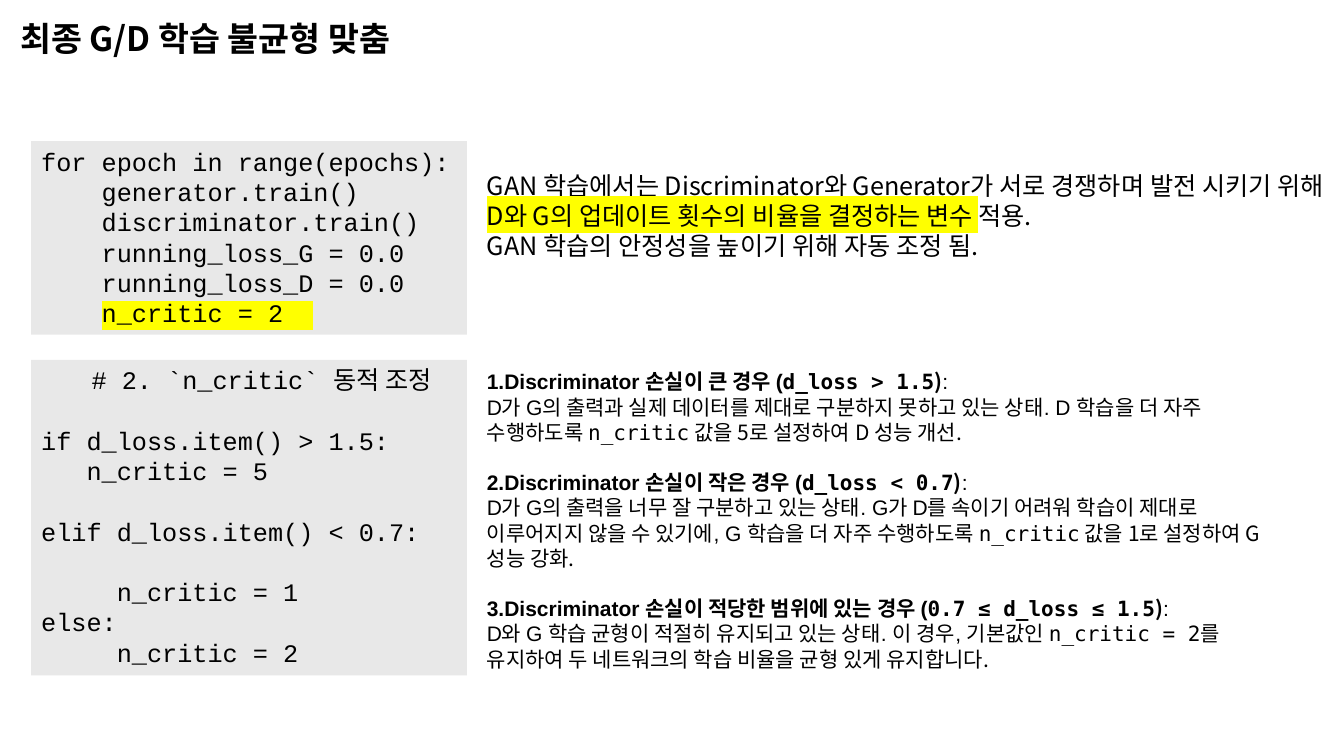
from lxml.etree import SubElement
from pptx import Presentation
from pptx.dml.color import RGBColor
from pptx.enum.shapes import MSO_SHAPE
from pptx.enum.text import MSO_ANCHOR, PP_ALIGN
from pptx.oxml.ns import qn
from pptx.util import Inches, Pt

BLACK = RGBColor(0x00, 0x00, 0x00)
GRAY = RGBColor(0xE8, 0xE8, 0xE8)
YELLOW = RGBColor(0xFF, 0xFF, 0x00)
KOREAN, SANS, CODE, MONO = "Noto Sans CJK KR", "Arial", "Courier New", "DejaVu Sans Mono"
CELL = Inches(0.1)
LINE = 1.2
CODE_SIZE, CASE_SIZE = 18, 15
CODE_CHARACTER = Pt(CODE_SIZE * 0.6)

LOOP_CODE = [
    (0, 0, "for epoch in range(epochs):", False),
    (4, 0, "generator.train()", False),
    (4, 0, "discriminator.train()", False),
    (4, 0, "running_loss_G = 0.0", False),
    (4, 0, "running_loss_D = 0.0", False),
    (4, 0, "n_critic = 2  ", True),
]
ADJUST_CODE = [
    (3.33, 0, "# 2. `n_critic` 동적 조정", False),
    (0, 1, "if d_loss.item() > 1.5:", False),
    (3, 0, "n_critic = 5", False),
    (0, 1, "elif d_loss.item() < 0.7:", False),
    (5, 1, "n_critic = 1", False),
    (0, 0, "else:", False),
    (5, 0, "n_critic = 2", False),
]
SUMMARY = [
    [("GAN 학습에서는 Discriminator와 Generator가 서로 경쟁하며 발전 시키기 위해 ", False),
     ("D와 G의 업데이트 횟수의 비율을 결정하는 변수 ", True),
     ("적용.", False)],
    [("GAN 학습의 안정성을 높이기 위해 자동 조정 됨.", False)],
]
CASES = [
    ("큰 경우", "d_loss > 1.5",
     "D가 G의 출력과 실제 데이터를 제대로 구분하지 못하고 있는 상태. D 학습을 더 자주 수행하도록 ",
     "n_critic", " 값을 5로 설정하여 D 성능 개선."),
    ("작은 경우", "d_loss < 0.7",
     "D가 G의 출력을 너무 잘 구분하고 있는 상태. G가 D를 속이기 어려워 학습이 제대로 "
     "이루어지지 않을 수 있기에, G 학습을 더 자주 수행하도록 ",
     "n_critic", " 값을 1로 설정하여 G 성능 강화."),
    ("적당한 범위에 있는 경우", "0.7 ≤ d_loss ≤ 1.5",
     "D와 G 학습 균형이 적절히 유지되고 있는 상태. 이 경우, 기본값인 ",
     "n_critic = 2", "를 유지하여 두 네트워크의 학습 비율을 균형 있게 유지합니다."),
]


class SlideBuilder:
    def __init__(self, presentation):
        self.slide = presentation.slides.add_slide(presentation.slide_layouts[5])

    def grid(self, column, row, columns, rows):
        return [round(value * CELL) for value in (column, row, columns, rows)]

    def frame(self, shape):
        frame = shape.text_frame
        frame.word_wrap = True
        frame.vertical_anchor = MSO_ANCHOR.TOP
        frame.margin_left = frame.margin_right = Inches(0.1)
        frame.margin_top = frame.margin_bottom = Inches(0.05)
        return frame

    def paragraph(self, frame, index, size, blank_lines=0):
        paragraph = frame.add_paragraph() if index else frame.paragraphs[0]
        paragraph.alignment = PP_ALIGN.LEFT
        paragraph.line_spacing = Pt(size * LINE)
        paragraph.space_before = Pt(size * LINE * blank_lines)
        return paragraph

    def run(self, paragraph, text, size, font, bold=False, marked=False):
        run = paragraph.add_run()
        run.text = text
        run.font.size = Pt(size)
        run.font.bold = bold
        run.font.color.rgb = BLACK
        properties = run.font._element
        if marked:
            highlight = SubElement(properties, qn("a:highlight"))
            SubElement(highlight, qn("a:srgbClr"), val=str(YELLOW))
        run.font.name = font
        SubElement(properties, qn("a:ea"), typeface=KOREAN)

    def title(self, text, *place):
        title = self.slide.shapes.title
        title.left, title.top, title.width, title.height = self.grid(*place)
        paragraph = self.paragraph(self.frame(title), 0, 24)
        self.run(paragraph, text, 24, KOREAN, bold=True)

    def code_box(self, lines, *place):
        box = self.slide.shapes.add_shape(MSO_SHAPE.RECTANGLE, *self.grid(*place))
        box.shadow.inherit = False
        box.fill.solid()
        box.fill.fore_color.rgb = GRAY
        box.line.fill.background()
        frame = self.frame(box)
        for index, (indent, blank_lines, text, marked) in enumerate(lines):
            paragraph = self.paragraph(frame, index, CODE_SIZE, blank_lines)
            properties = paragraph._p.get_or_add_pPr()
            properties.set("marL", str(round(indent * CODE_CHARACTER)))
            self.run(paragraph, text, CODE_SIZE, CODE, marked=marked)

    def summary(self, paragraphs, *place):
        frame = self.frame(self.slide.shapes.add_textbox(*self.grid(*place)))
        for index, pieces in enumerate(paragraphs):
            paragraph = self.paragraph(frame, index, 18)
            for text, marked in pieces:
                self.run(paragraph, text, 18, KOREAN, marked=marked)

    def cases(self, cases, *place):
        frame = self.frame(self.slide.shapes.add_textbox(*self.grid(*place)))
        for index, (case, condition, state, variable, action) in enumerate(cases):
            paragraph = self.paragraph(frame, index, CASE_SIZE, 1 if index else 0)
            properties = paragraph._p.get_or_add_pPr()
            properties.set("marL", "0")
            properties.set("indent", "0")
            SubElement(properties, qn("a:buAutoNum"), type="arabicPeriod", startAt=str(index + 1))
            self.run(paragraph, f"Discriminator 손실이 {case} (", CASE_SIZE, SANS, bold=True)
            self.run(paragraph, condition, CASE_SIZE, MONO, bold=True)
            self.run(paragraph, ")", CASE_SIZE, KOREAN, bold=True)
            self.run(paragraph, ":", CASE_SIZE, SANS)
            paragraph.add_line_break()
            self.run(paragraph, state, CASE_SIZE, SANS)
            self.run(paragraph, variable, CASE_SIZE, MONO)
            self.run(paragraph, action, CASE_SIZE, KOREAN)


def main():
    presentation = Presentation()
    presentation.slide_width = Inches(13.33)
    presentation.slide_height = Inches(7.5)
    builder = SlideBuilder(presentation)
    builder.title("최종 G/D 학습 불균형 맞춤", 1, 1.3, 43.5, 5)
    builder.code_box(LOOP_CODE, 3.1, 14, 43.2, 19.2)
    builder.code_box(ADJUST_CODE, 3.1, 35.7, 43.2, 31.3)
    builder.summary(SUMMARY, 47.3, 16.4, 86.9, 13.1)
    builder.cases(CASES, 47.3, 36.1, 81.8, 33.8)
    presentation.save("out.pptx")


if __name__ == "__main__":
    main()
